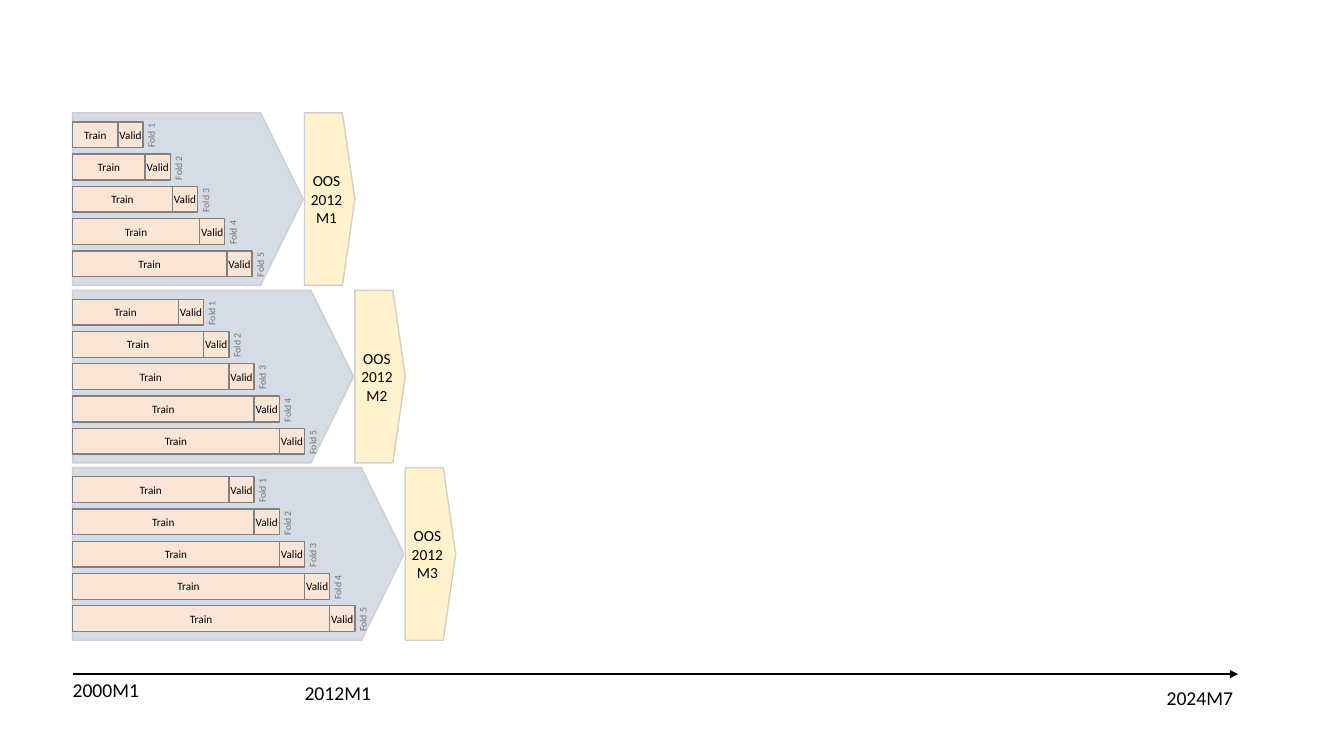
from dataclasses import dataclass

from lxml.etree import SubElement
from pptx import Presentation
from pptx.dml.color import RGBColor as Rgb
from pptx.enum.shapes import MSO_CONNECTOR as Connector, MSO_SHAPE as Preset
from pptx.enum.text import MSO_ANCHOR as Anchor, MSO_AUTO_SIZE as AutoSize, PP_ALIGN as Align
from pptx.oxml.ns import qn
from pptx.util import Inches, Pt


@dataclass(frozen=True)
class Theme:
    """Hold the colours, type sizes and font of the slide."""
    font: str = "Calibri"
    ink: str = "000000"
    fold_ink: str = "767171"
    window_fill: str = "D6DCE5"
    test_fill: str = "FFF2CC"
    fold_fill: str = "FBE5D6"
    window_edge: str = "D0CECE"
    fold_edge: str = "808080"
    edge_width: float = 1
    date_size: int = 14
    test_size: int = 11
    bar_size: int = 8
    fold_size: int = 7


THEME = Theme()
LEFT, TOP = 0.72, 1.12
COLUMN, ROW = 0.25, 0.32
FOLDS = 5
BAR_ROWS = 0.8
WINDOW_ROWS, WINDOW_PITCH = 5.35, 5.5
WINDOW_COLUMNS, MONTH_COLUMNS = 9.15, 2
AXIS_ROW, AXIS_COLUMNS = 17.4, 46.24
POINT_DEPTH = 0.247

WINDOWS = [("OOS 2012M1", 1.8, 1.08), ("OOS 2012M2", 4.2, 1), ("OOS 2012M3", 6.2, 1)]
DATES = [("2000M1", 0, 17.53), ("2012M1", 9.2, 17.62), ("2024M7", 43.4, 17.75)]


def at(column, row):
    """Return the slide position of a grid point."""
    return Inches(LEFT + column * COLUMN), Inches(TOP + row * ROW)


def box(column, row, columns, rows):
    """Return left, top, width and height of a grid area."""
    return *at(column, row), Inches(columns * COLUMN), Inches(rows * ROW)


def apply(target, formats):
    """Set each format value on the target."""
    for attribute, value in formats.items():
        setattr(target, attribute, value)


def write(holder, text, size, color, align, **frame_formats):
    """Write one paragraph in the holder without margins."""
    frame = holder.text_frame
    margins = dict.fromkeys(("margin_left", "margin_top", "margin_right", "margin_bottom"), 0)
    apply(frame, margins | frame_formats)
    paragraph = frame.paragraphs[0]
    paragraph.alignment = align
    run = paragraph.add_run()
    run.text = text
    apply(run.font, {"name": THEME.font, "size": Pt(size)})
    run.font.color.rgb = Rgb.from_string(color)


def add_block(slide, preset, area, fill, edge, text="", size=0):
    """Add a filled, outlined shape with optional centred text."""
    block = slide.shapes.add_shape(preset, *box(*area))
    block.shadow.inherit = False
    block.fill.solid()
    block.fill.fore_color.rgb = Rgb.from_string(fill)
    block.line.color.rgb = Rgb.from_string(edge)
    block.line.width = Pt(THEME.edge_width)
    if preset == Preset.PENTAGON:
        block.adjustments[0] = POINT_DEPTH
    if text:
        write(block, text, size, THEME.ink, Align.CENTER,
              word_wrap=True, vertical_anchor=Anchor.MIDDLE)


def add_label(slide, area, text, size, color, rotation=0):
    """Add a text label that fits its wording."""
    label = slide.shapes.add_textbox(*box(*area))
    label.rotation = rotation
    write(label, text, size, color, Align.LEFT,
          word_wrap=False, auto_size=AutoSize.SHAPE_TO_FIT_TEXT)


def add_fold(slide, number, row, train_columns):
    """Add the training bar, validation bar and name of one fold."""
    for text, column, columns in (("Train", 0, train_columns), ("Valid", train_columns, 1)):
        add_block(slide, Preset.RECTANGLE, (column, row, columns, BAR_ROWS),
                  THEME.fold_fill, THEME.fold_edge, text, THEME.bar_size)
    add_label(slide, (train_columns + 0.8, row + 0.21, 1.04, 0.38), f"Fold {number}",
              THEME.fold_size, THEME.fold_ink, 270)


def add_window(slide, index, test_name, first_train, train_step):
    """Add one expanding window with its folds and test month."""
    row = index * WINDOW_PITCH
    columns = WINDOW_COLUMNS + index * MONTH_COLUMNS
    add_block(slide, Preset.PENTAGON, (0, row, columns, WINDOW_ROWS),
              THEME.window_fill, THEME.window_edge)
    add_block(slide, Preset.PENTAGON, (columns + 0.05, row, MONTH_COLUMNS, WINDOW_ROWS),
              THEME.test_fill, THEME.window_edge, test_name, THEME.test_size)
    for fold in range(FOLDS):
        add_fold(slide, fold + 1, row + 0.28 + fold, first_train + fold * train_step)


def add_time_axis(slide):
    """Add the time arrow and its dates."""
    axis = slide.shapes.add_connector(Connector.STRAIGHT, *at(0, AXIS_ROW),
                                      *at(AXIS_COLUMNS, AXIS_ROW))
    axis.line.color.rgb = Rgb.from_string(THEME.ink)
    axis.line.width = Pt(THEME.edge_width)
    SubElement(axis.line._get_or_add_ln(), qn("a:tailEnd"), type="triangle")
    SubElement(axis._element.spPr, qn("a:effectLst"))
    for date, column, row in DATES:
        add_label(slide, (column, row, 2.84, 0.75), date, THEME.date_size, THEME.ink)


def main():
    """Build and save the slide."""
    deck = Presentation()
    apply(deck, {"slide_width": Inches(13.33), "slide_height": Inches(7.5)})
    slide = deck.slides.add_slide(deck.slide_layouts[6])
    add_time_axis(slide)
    for index, window in enumerate(WINDOWS):
        add_window(slide, index, *window)
    deck.save("out.pptx")


if __name__ == "__main__":
    main()
